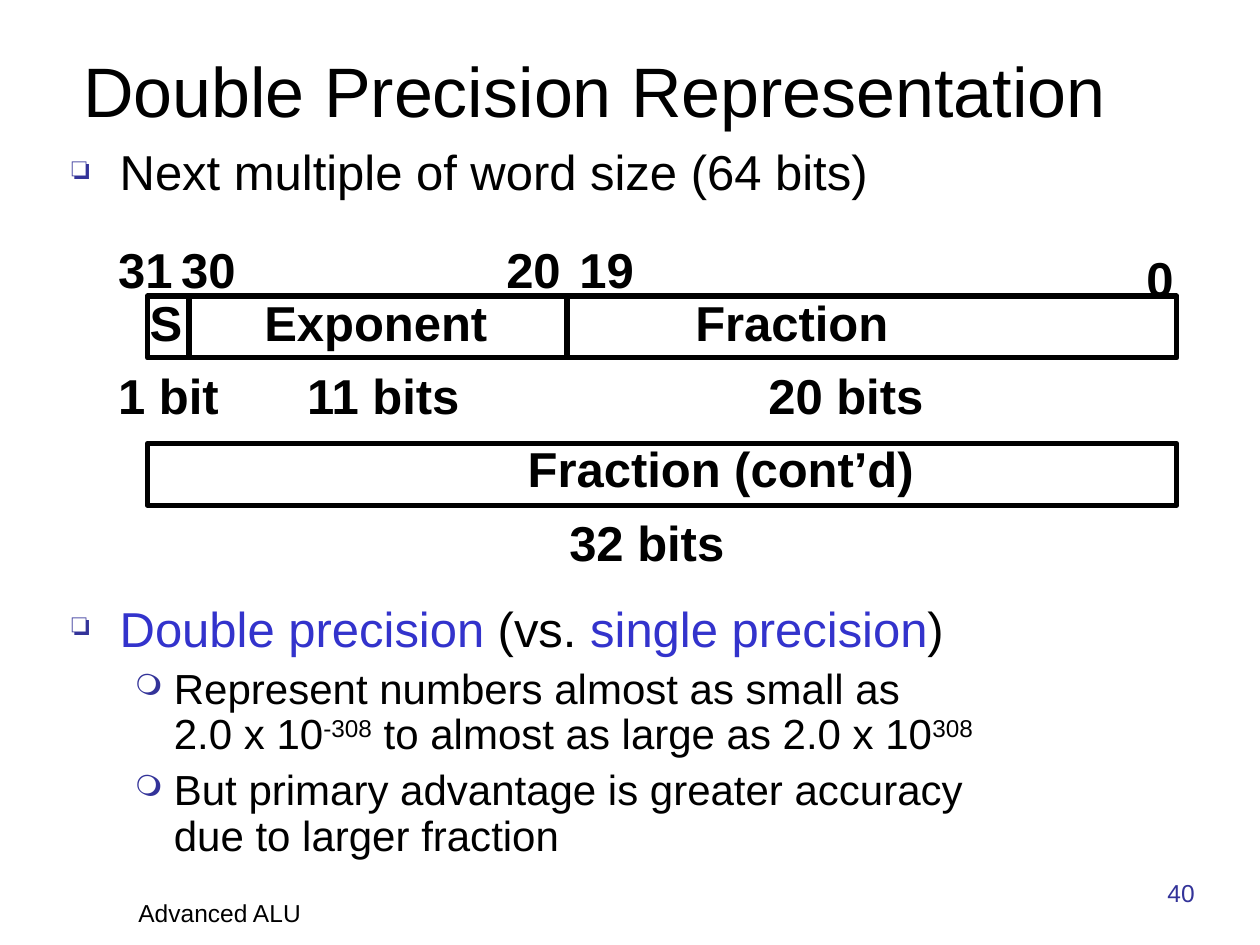
from typing import NamedTuple

from lxml import etree
from pptx import Presentation
from pptx.dml.color import RGBColor
from pptx.enum.shapes import MSO_CONNECTOR, MSO_SHAPE
from pptx.enum.text import MSO_ANCHOR, PP_ALIGN
from pptx.oxml.ns import qn
from pptx.util import Inches, Pt

RECT = MSO_SHAPE.RECTANGLE
LINE = MSO_CONNECTOR.STRAIGHT
TOP, BOTTOM = MSO_ANCHOR.TOP, MSO_ANCHOR.BOTTOM
LEFT, RIGHT = PP_ALIGN.LEFT, PP_ALIGN.RIGHT
FONT = "Arial"
BLACK, NAVY, BLUE = "000000", "333399", "3333CC"
BAR_X, BAR_W, BAR_H = 1.17, 8.17, 0.49


class Run(NamedTuple):
    text: str
    color: str = BLACK
    sup: bool = False


class Level(NamedTuple):
    size: int
    margin: float
    hang: float
    mark: str
    scale: int
    before: int


class Item(NamedTuple):
    level: Level
    lines: list[list[Run]]


class Label(NamedTuple):
    text: str
    x: float
    y: float
    w: float


MAIN = Level(28, 0.38, 0.38, "❏", 65, 7)
SUB = Level(24, 0.81, 0.31, "❍", 70, 6)


def paint(color, value: str) -> None:
    color.rgb = RGBColor.from_string(value)


def add_run(para, run: Run, size: int, bold: bool = False) -> None:
    r = para.add_run()
    r.text = run.text
    r.font.name, r.font.size, r.font.bold = FONT, Pt(size), bold
    paint(r.font.color, run.color)
    if run.sup:
        r.font._element.set("baseline", "30000")


def add_frame(slide, x: float, y: float, w: float, h: float,
              anchor=TOP, side: float = 0.1, wrap: bool = True):
    frame = slide.shapes.add_textbox(
        Inches(x), Inches(y), Inches(w), Inches(h)).text_frame
    frame.word_wrap, frame.vertical_anchor = wrap, anchor
    frame.margin_left = frame.margin_right = Inches(side)
    return frame


def add_line(slide, run: Run, size: int, box: tuple, side: float = 0.1,
             align=LEFT) -> None:
    para = add_frame(slide, *box, anchor=BOTTOM, side=side).paragraphs[0]
    para.alignment = align
    add_run(para, run, size)


def add_bullet(para, level: Level) -> None:
    props = para._p.get_or_add_pPr()
    props.set("marL", str(Inches(level.margin)))
    props.set("indent", str(-Inches(level.hang)))
    color = etree.SubElement(props, qn("a:buClr"))
    etree.SubElement(color, qn("a:srgbClr")).set("val", NAVY)
    etree.SubElement(props, qn("a:buSzPct")).set("val", str(level.scale * 1000))
    etree.SubElement(props, qn("a:buChar")).set("char", level.mark)


def add_list(slide, y: float, h: float, items: list[Item]) -> None:
    frame = add_frame(slide, 0.5, y, 9.08, h, side=0.07)
    frame.margin_top = Inches(0.1)
    for i, item in enumerate(items):
        para = frame.add_paragraph() if i else frame.paragraphs[0]
        add_bullet(para, item.level)
        para.level = 1 if item.level is SUB else 0
        para.line_spacing = 0.9
        para.space_before = Pt(item.level.before if i else 0)
        for j, line in enumerate(item.lines):
            if j:
                para.add_line_break()
            for run in line:
                add_run(para, run, item.level.size)


def add_label(slide, label: Label) -> None:
    frame = add_frame(slide, label.x, label.y, label.w, 0.57, wrap=False)
    add_run(frame.paragraphs[0], Run(label.text), 28, bold=True)


def add_bar(slide, y: float) -> None:
    bar = slide.shapes.add_shape(
        RECT, Inches(BAR_X), Inches(y), Inches(BAR_W), Inches(BAR_H))
    bar.shadow.inherit = False
    bar.fill.background()
    bar.line.width = Pt(3)
    paint(bar.line.color, BLACK)


def add_split(slide, x: float, y: float) -> None:
    split = slide.shapes.add_connector(
        LINE, Inches(x), Inches(y), Inches(x), Inches(y + BAR_H))
    split.line.width = Pt(3)
    paint(split.line.color, BLACK)
    etree.SubElement(split._element.spPr, qn("a:effectLst"))


def main() -> None:
    deck = Presentation()
    deck.slide_width, deck.slide_height = Inches(10), Inches(7.5)
    slide = deck.slides.add_slide(deck.slide_layouts[6])

    # Title, footer and page number
    add_line(slide, Run("Double Precision Representation"), 40,
             (0.58, 0.6, 8.92, 0.49), side=0.08)
    add_line(slide, Run("Advanced ALU"), 14, (1, 7.08, 2.08, 0.33))
    add_line(slide, Run("40", NAVY), 14, (8.33, 6.92, 1.25, 0.33), align=RIGHT)

    # Bullets above and below the diagram
    add_list(slide, 1.08, 0.6, [
        Item(MAIN, [[Run("Next multiple of word size (64 bits)")]]),
    ])
    add_list(slide, 4.7, 2.2, [
        Item(MAIN, [[Run("Double precision", BLUE), Run(" (vs. "),
                     Run("single precision", BLUE), Run(")")]]),
        Item(SUB, [[Run("Represent numbers almost as small as ")],
                   [Run("2.0 x 10"), Run("-308", sup=True),
                    Run(" to almost as large as 2.0 x 10"),
                    Run("308", sup=True)]]),
        Item(SUB, [[Run("But primary advantage is greater accuracy ")],
                   [Run("due to larger fraction")]]),
    ])

    # Two words of the number, with the first split into fields
    for y in (2.35, 3.52):
        add_bar(slide, y)
    for x in (1.5, 4.5):
        add_split(slide, x, 2.35)

    # Bit positions, field names and field widths
    labels = [
        Label("31", 0.84, 1.85, 0.63),
        Label("30", 1.34, 1.85, 0.63),
        Label("20", 3.92, 1.85, 0.63),
        Label("19", 4.5, 1.85, 0.63),
        Label("0", 9, 1.92, 0.41),
        Label("S", 1.09, 2.27, 0.46),
        Label("Exponent", 2, 2.27, 1.97),
        Label("Fraction", 5.42, 2.27, 1.73),
        Label("1 bit", 0.84, 2.85, 1),
        Label("11 bits", 2.34, 2.85, 1.43),
        Label("20 bits", 6, 2.85, 1.43),
        Label("Fraction (cont’d)", 4.09, 3.43, 3.26),
        Label("32 bits", 4.42, 4.02, 1.43),
    ]
    for label in labels:
        add_label(slide, label)

    deck.save("out.pptx")


if __name__ == "__main__":
    main()
